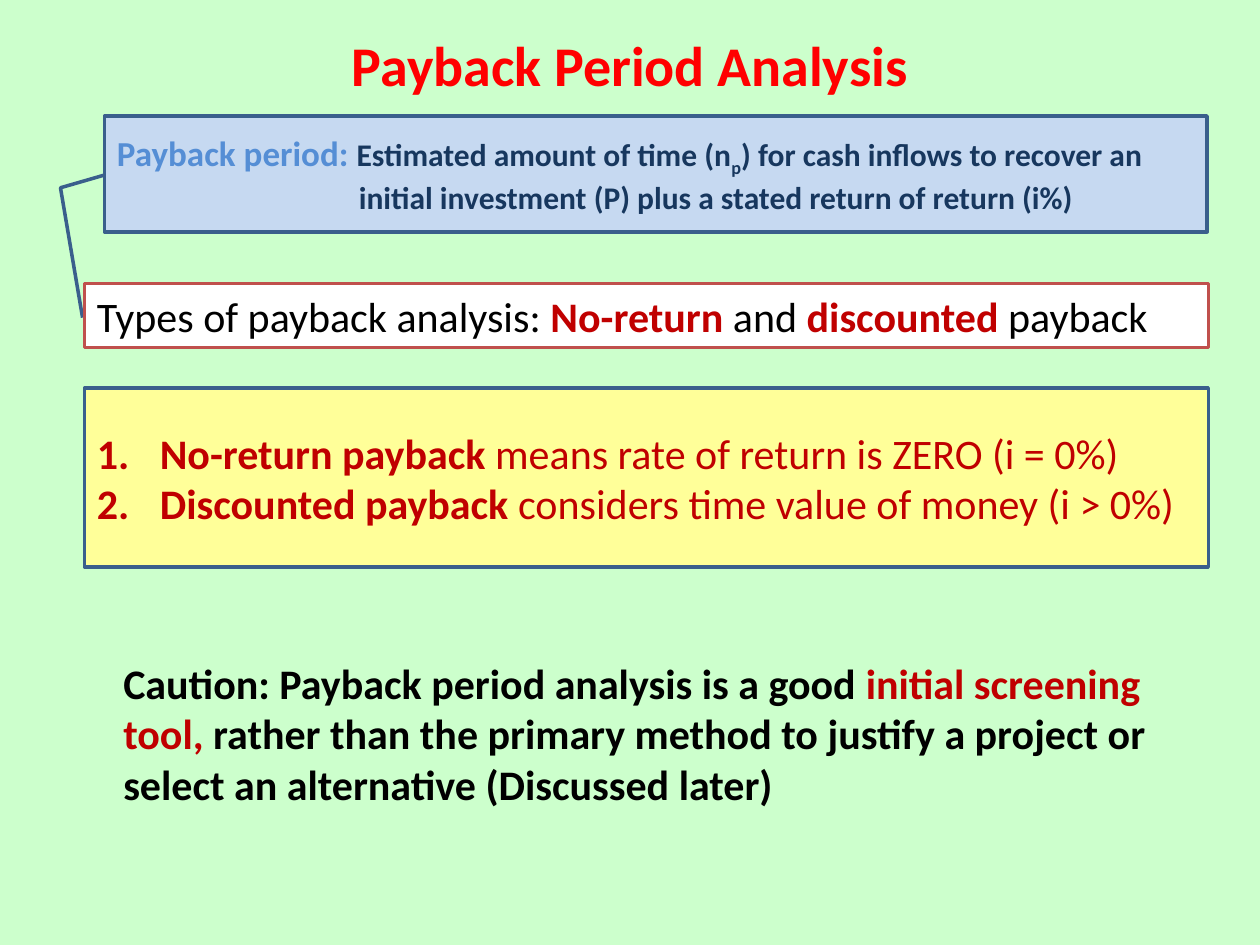
from lxml import etree
from pptx import Presentation
from pptx import util as u
from pptx.dml.color import RGBColor
from pptx.enum import shapes, text
from pptx.oxml.ns import qn

THEME = {
    "font": "Calibri",
    "background": "CCFFCC", "title": "FF0000", "black": "000000", "red": "C00000",
    "term": "558ED5", "navy": "17375E", "blue_line": "3A5F8C", "red_line": "C0504D",
    "callout": "C6D9F1", "white": "FFFFFF", "yellow": "FFFF99",
    "title_size": 32, "body_size": 24, "term_size": 20, "definition_size": 18,
}

TITLE = [{"spans": [("Payback Period Analysis", {})],
          "size": "title_size", "color": "title", "bold": True, "align": text.PP_ALIGN.CENTER}]
DEFINITION = [
    {"spans": [("Payback period: ", {"size": "term_size", "color": "term"}),
               ("Estimated amount of time (n", {}),
               ("p", {"baseline": -25000}),
               (") for cash inflows to recover an", {})],
     "size": "definition_size", "color": "navy", "bold": True},
    {"spans": [("initial investment (P) plus a stated return of return (i%)", {})],
     "size": "definition_size", "color": "navy", "bold": True, "margin": 1.92},
]
TYPES = [{"spans": [("Types of payback analysis: ", {}),
                    ("No-return", {"color": "red", "bold": True}),
                    (" and ", {}),
                    ("discounted", {"color": "red", "bold": True}),
                    (" payback", {})]}]
MEANINGS = [
    {"spans": [(term, {"bold": True}), (meaning, {})],
     "color": "red", "margin": 0.5, "numbered": True}
    for term, meaning in [
        ("No-return payback ", "means rate of return is ZERO (i = 0%)"),
        ("Discounted payback ", "considers time value of money (i > 0%)"),
    ]
]
CAUTION = [{"spans": [("Caution: Payback period analysis is a good ", {}),
                      ("initial screening tool,", {"color": "red"}),
                      (" rather than the primary method to justify a project or "
                       "select an alternative (Discussed later)", {})],
            "bold": True}]

RECTANGLE = shapes.MSO_SHAPE.RECTANGLE
PANELS = [
    {"kind": shapes.MSO_SHAPE.LINE_CALLOUT_2, "place": (0.83, 0.92, 8.75, 0.92),
     "fill": "callout", "line": "blue_line", "content": DEFINITION,
     "adjustments": (0.51, 0, 0.62, -0.04, 1.74, -0.02)},
    {"kind": RECTANGLE, "place": (0.67, 2.25, 8.92, 0.51),
     "fill": "white", "line": "red_line", "content": TYPES},
    {"kind": RECTANGLE, "place": (0.67, 3.08, 8.92, 1.42),
     "fill": "yellow", "line": "blue_line", "content": MEANINGS},
]
TITLE_PLACE = (0.5, 0.17, 9, 0.67)
CAUTION_PLACE = (0.88, 5.17, 8.62, 1.33)


def color(name):
    return RGBColor.from_string(THEME[name])


def style(font, look):
    if "size" in look:
        font.size = u.Pt(THEME[look["size"]])
    if "color" in look:
        font.color.rgb = color(look["color"])
    if "bold" in look:
        font.bold = look["bold"]


def write(frame, content, anchor):
    frame.word_wrap = True
    frame.vertical_anchor = anchor
    for index, item in enumerate(content):
        para = frame.paragraphs[0] if index == 0 else frame.add_paragraph()
        para.alignment = item.get("align", text.PP_ALIGN.LEFT)
        properties = para._p.get_or_add_pPr()
        margin = u.Inches(item.get("margin", 0))
        numbered = item.get("numbered", False)
        properties.set("marL", str(margin))
        properties.set("indent", str(-margin if numbered else 0))
        if numbered:
            etree.SubElement(properties, qn("a:buFont"), typeface="+mj-lt")
            etree.SubElement(properties, qn("a:buAutoNum"), type="arabicPeriod")
        para.font.name = THEME["font"]
        style(para.font, {"size": "body_size", "color": "black", "bold": False, **item})
        for words, look in item["spans"]:
            span = para.add_run()
            span.text = words
            style(span.font, look)
            if "baseline" in look:
                span._r.get_or_add_rPr().set("baseline", str(look["baseline"]))


def add_panel(slide, panel):
    box = slide.shapes.add_shape(panel["kind"], *map(u.Inches, panel["place"]))
    for index, value in enumerate(panel.get("adjustments", ())):
        box.adjustments[index] = value
    box.shadow.inherit = False
    box.fill.solid()
    box.fill.fore_color.rgb = color(panel["fill"])
    box.line.color.rgb = color(panel["line"])
    box.line.width = u.Pt(2)
    write(box.text_frame, panel["content"], text.MSO_ANCHOR.MIDDLE)


def main():
    deck = Presentation()
    deck.slide_width, deck.slide_height = u.Inches(10), u.Inches(7.5)
    slide = deck.slides.add_slide(deck.slide_layouts[5])
    slide.background.fill.solid()
    slide.background.fill.fore_color.rgb = color("background")

    title = slide.shapes.title
    title.left, title.top, title.width, title.height = map(u.Inches, TITLE_PLACE)
    write(title.text_frame, TITLE, text.MSO_ANCHOR.MIDDLE)

    caution = slide.shapes.add_textbox(*map(u.Inches, CAUTION_PLACE))
    write(caution.text_frame, CAUTION, text.MSO_ANCHOR.TOP)

    for panel in PANELS:
        add_panel(slide, panel)
    deck.save("out.pptx")


if __name__ == "__main__":
    main()
